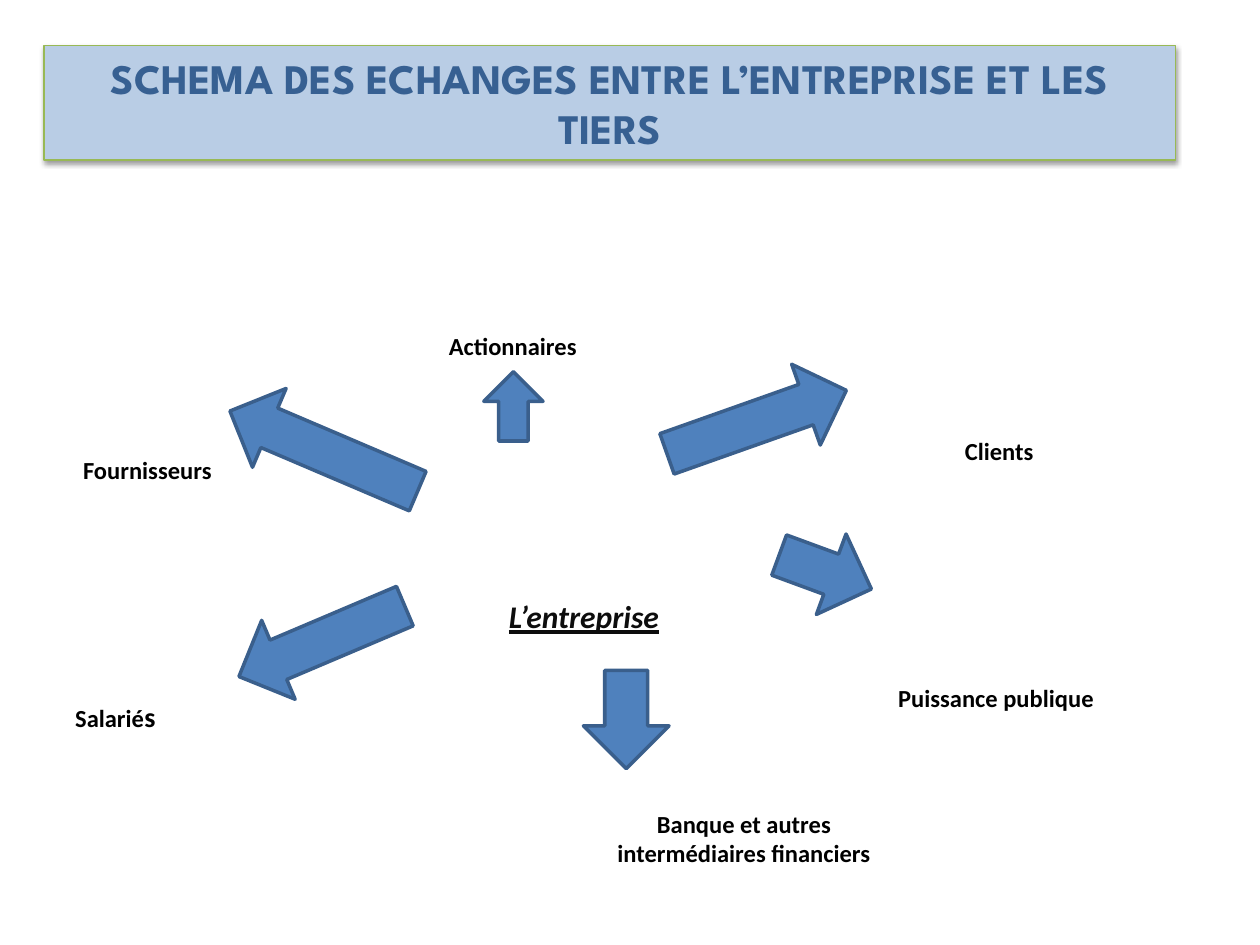
from lxml import etree
from pptx import Presentation
from pptx.dml.color import RGBColor
from pptx.enum.shapes import MSO_SHAPE
from pptx.enum.text import MSO_ANCHOR, MSO_AUTO_SIZE, PP_ALIGN
from pptx.oxml.ns import qn
from pptx.util import Inches, Pt

UP, LEFT = MSO_SHAPE.UP_ARROW, MSO_SHAPE.LEFT_ARROW
MIDDLE, FIXED = MSO_ANCHOR.MIDDLE, MSO_AUTO_SIZE.NONE
CENTER, START = PP_ALIGN.CENTER, PP_ALIGN.LEFT

COLS = 100
TITLE_ONLY = 5
HUES = {
    "banner": "B9CDE5", "edge": "98B955", "title": "376092",
    "arrow": "4F81BD", "rim": "3A5F8C",
    "text": "000000", "firm": "0D0D0D", "shade": "000000",
}


class Board:
    """Draws on one slide; all places are in grid columns and rows of equal size."""

    def __init__(self, deck):
        self.slide = deck.slides.add_slide(deck.slide_layouts[TITLE_ONLY])
        self.unit = deck.slide_width / COLS

    def place(self, *box):
        return [round(n * self.unit) for n in box]

    def hue(self, name):
        return RGBColor.from_string(HUES[name])

    def paint(self, shape, fill, line, width):
        shape.fill.solid()
        shape.fill.fore_color.rgb = self.hue(fill)
        shape.line.color.rgb = self.hue(line)
        shape.line.width = Pt(width)

    def style(self, run, size, hue="text", face="Calibri"):
        font = run.font
        font.name, font.size, font.bold = face, Pt(size), True
        font.color.rgb = self.hue(hue)

    def shade(self, shape):
        """Add a soft shadow straight below the shape."""
        props = shape._element.spPr
        effects = etree.SubElement(props, qn("a:effectLst"))
        outer = etree.SubElement(
            effects, qn("a:outerShdw"), blurRad=str(Pt(3.1)),
            dist=str(Pt(1.6)), dir="5400000", rotWithShape="0")
        tint = etree.SubElement(outer, qn("a:srgbClr"), val=HUES["shade"])
        etree.SubElement(tint, qn("a:alpha"), val="38000")

    def title(self, text, *box):
        shape = self.slide.shapes.title
        shape.left, shape.top, shape.width, shape.height = self.place(*box)
        self.paint(shape, "banner", "edge", 0.75)
        self.shade(shape)
        frame = shape.text_frame
        frame.text = text
        frame.word_wrap, frame.auto_size = True, FIXED
        frame.vertical_anchor = MIDDLE
        frame.paragraphs[0].alignment = CENTER
        self.style(frame.paragraphs[0].runs[0], 24, "title", "League Spartan")

    def label(self, text, *box, size=14, hue="text", align=CENTER):
        frame = self.slide.shapes.add_textbox(*self.place(*box)).text_frame
        frame.word_wrap = True
        frame.text = text
        line = frame.paragraphs[0]
        line.alignment = align
        self.style(line.runs[0], size, hue)
        return line

    def arrow(self, kind, *box, turn=0):
        shape = self.slide.shapes.add_shape(kind, *self.place(*box))
        shape.shadow.inherit = False
        shape.rotation = turn
        self.paint(shape, "arrow", "rim", 2)


def main():
    deck = Presentation()
    deck.slide_width, deck.slide_height = Inches(10), Inches(7.5)
    board = Board(deck)

    board.title("SCHEMA DES ECHANGES ENTRE L’ENTREPRISE ET LES TIERS",
                3.5, 3.6, 89.8, 9.1)

    board.label("Fournisseurs", 3.5, 35.6, 16.4, 3.4)
    board.label("Clients", 70.3, 34.1, 18, 3.4)
    board.label("Actionnaires", 32.5, 25.8, 16.4, 3.4)
    staff = board.label("Salarié", 2.9, 55, 12.5, 3.7)
    last = staff.add_run()
    last.text = "s"
    board.style(last, 16)
    board.label("Banque et autres intermédiaires financiers",
                47.7, 63.7, 22.7, 5.7)
    board.label("Puissance publique", 70.3, 53.7, 20.3, 3.4, align=START)

    board.arrow(UP, 38.4, 29.5, 4.7, 5.5)
    for left, top, length, turn in (
        (17.6, 32.4, 16.2, 23.1),
        (18.4, 47.5, 14.3, 337),
        (45.8, 53.7, 7.8, 270),
        (61.6, 42, 7.8, 200.2),
        (52.5, 30.1, 15.1, 160.5),
    ):
        board.arrow(LEFT, left, top, length, 6.8, turn=turn)

    firm = board.label("L’entreprise", 36.6, 46.9, 19.5, 4, size=18, hue="firm")
    font = firm.runs[0].font
    font.italic = font.underline = True

    deck.save("out.pptx")


if __name__ == "__main__":
    main()
